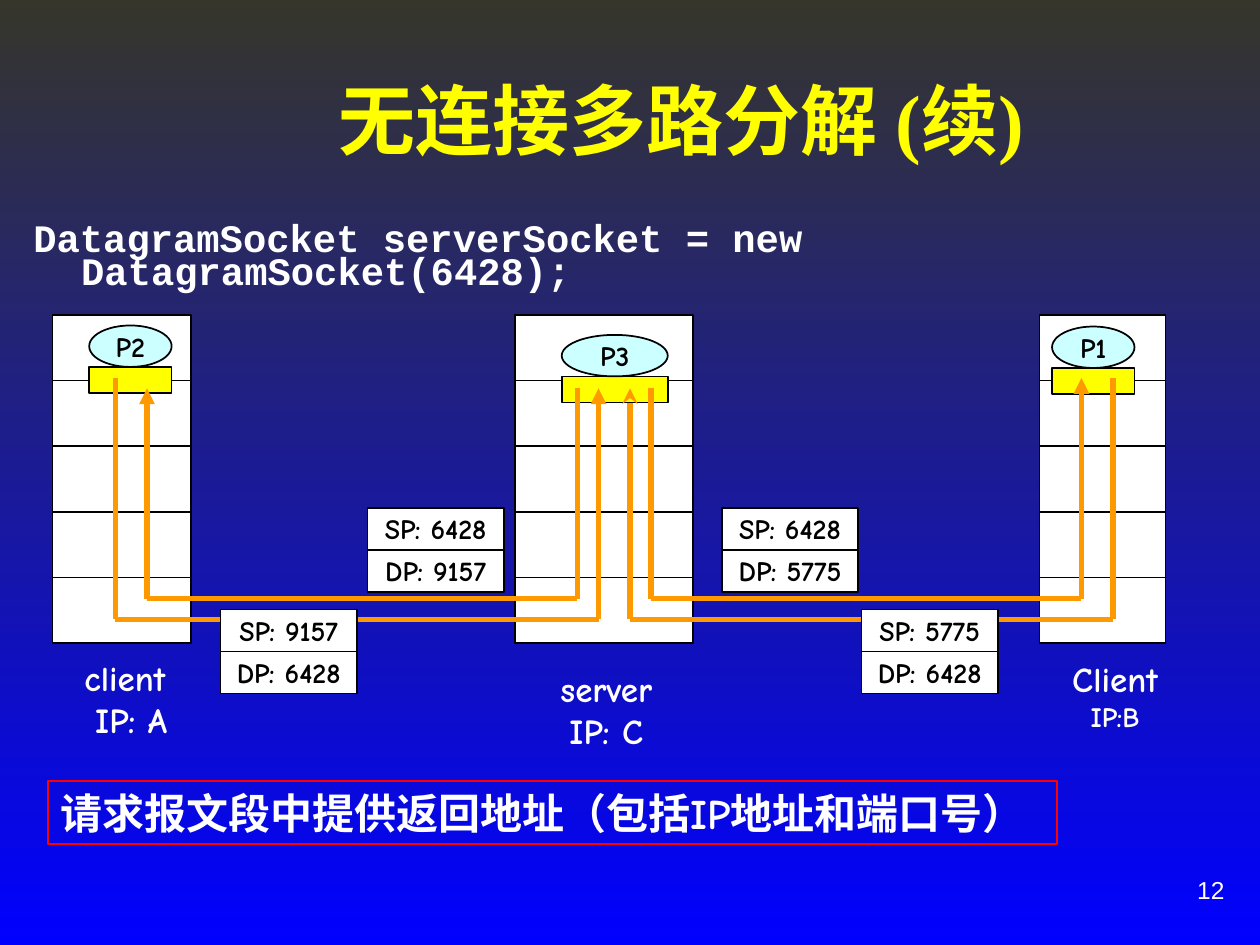
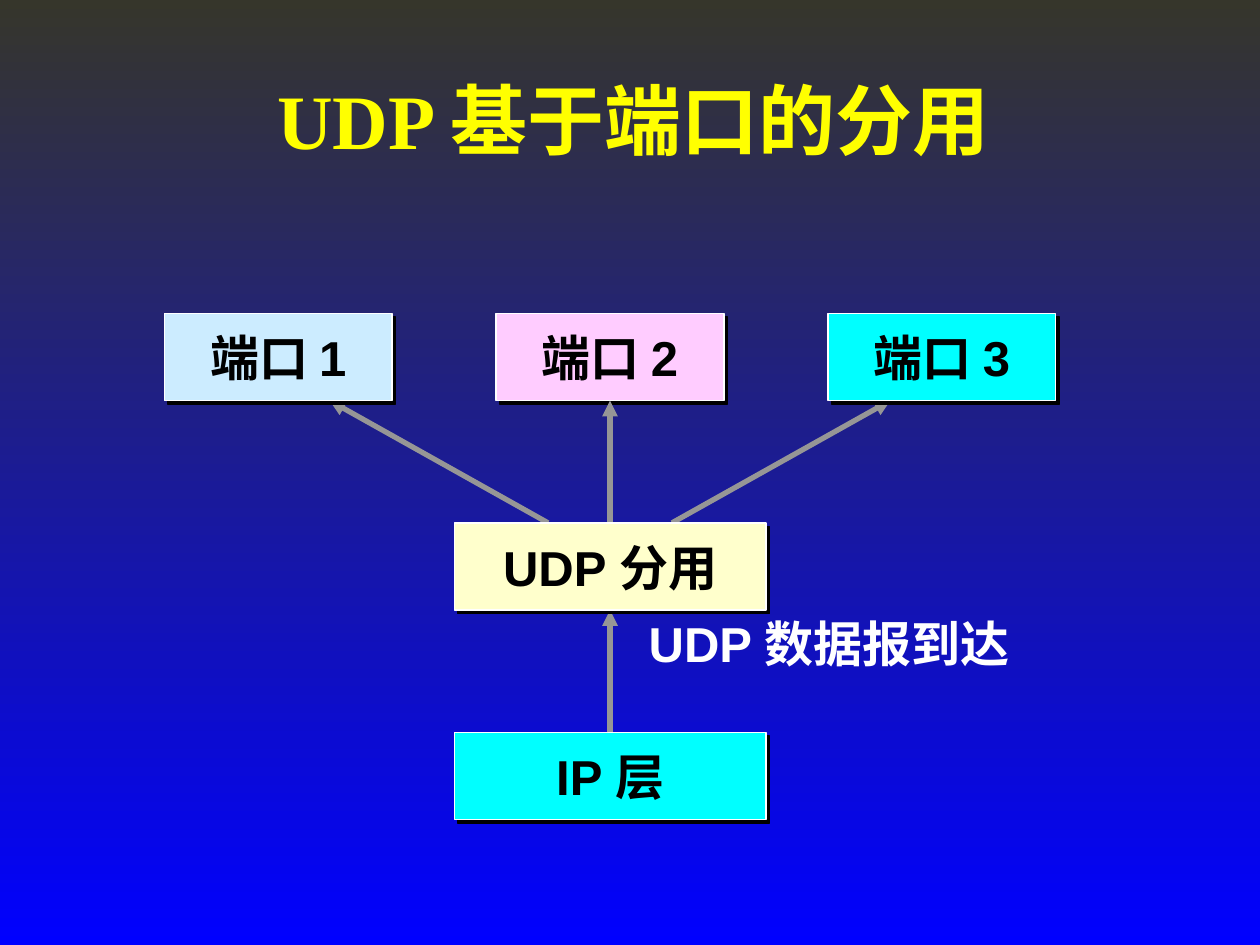
"""Two slides on how UDP sorts datagrams by port."""
from pptx import Presentation
from pptx.dml.color import RGBColor
from pptx.enum.shapes import MSO_CONNECTOR, MSO_SHAPE
from pptx.enum.text import MSO_ANCHOR, PP_ALIGN
from pptx.oxml.ns import qn
from pptx.util import Inches, Pt
from lxml import etree

RECT, OVAL = MSO_SHAPE.RECTANGLE, MSO_SHAPE.OVAL
LINE = MSO_CONNECTOR.STRAIGHT
LEFT, MID, RIGHT = PP_ALIGN.LEFT, PP_ALIGN.CENTER, PP_ALIGN.RIGHT
TOP, CORE = MSO_ANCHOR.TOP, MSO_ANCHOR.MIDDLE
COLS, ROWS = 120, 90
WHITE, BLACK, YELLOW = "FFFFFF", "000000", "FFFF00"
ORANGE, GRAY, RED = "FF9900", "969696", "FF0000"
ICE, CYAN, CREAM, PINK, SKY = "CCFFFF", "00FFFF", "FFFFCC", "FFCCFF", "CCECFF"
STYLES = {
    "title": {"name": "Times New Roman", "size": 44, "bold": True, "ink": YELLOW},
    "code": {"name": "Courier New", "size": 22.2, "bold": True, "ink": WHITE},
    "page": {"name": "Arial", "size": 14, "bold": False, "ink": WHITE},
    "tag": {"name": "Comic Neue", "size": 16, "bold": True, "ink": BLACK},
    "host": {"name": "Comic Neue", "size": 20, "bold": True, "ink": WHITE},
    "small": {"name": "Comic Neue", "size": 16, "bold": True, "ink": WHITE},
    "note": {"name": "Comic Neue", "size": 24, "bold": True, "ink": WHITE},
    "block": {"name": "Arial", "size": 28, "bold": True, "ink": BLACK},
    "side": {"name": "Arial", "size": 28, "bold": True, "ink": WHITE},
}


def tint(code):
    """Turn a hex string into a colour."""
    return RGBColor.from_string(code)


class Deck:
    """Holds the style and the current slide."""

    def __init__(self):
        """Open an empty deck of 10 by 7.5 inches."""
        self.show = Presentation()
        self.show.slide_width, self.show.slide_height = Inches(10), Inches(7.5)
        self.slide = None

    def span(self, *cells):
        """Turn pairs of columns and rows into lengths."""
        sides = (self.show.slide_width / COLS, self.show.slide_height / ROWS)
        return [round(cell * sides[i % 2]) for i, cell in enumerate(cells)]

    def start(self, title, width):
        """Add a slide with the shared background and title."""
        self.slide = self.show.slides.add_slide(self.show.slide_layouts[6])
        fill = self.slide.background.fill
        fill.gradient()
        fill.gradient_angle = 270
        for stop, code in zip(fill.gradient_stops, ("36362B", "0000FF")):
            stop.color.rgb = tint(code)
        self.text((14.2, 3.84, width, 15), [title], "title", anchor=CORE)

    def label(self, shape, lines, style, align=MID, anchor=CORE):
        """Fill a shape with styled lines and return the paragraphs."""
        frame = shape.text_frame
        frame.word_wrap = align != MID
        frame.vertical_anchor = anchor
        if align == LEFT:
            frame.margin_right = 0
        frame.text = "\n".join(lines)
        for para in frame.paragraphs:
            para.alignment = align
            self.dress(para, style)
        return frame.paragraphs

    def dress(self, para, style):
        """Set the font of each run in a paragraph."""
        looks = dict(STYLES[style])
        ink = looks.pop("ink")
        looks["size"] = Pt(looks["size"])
        for run in para.runs:
            for key, value in looks.items():
                setattr(run.font, key, value)
            run.font.color.rgb = tint(ink)

    def text(self, place, lines, style, align=MID, anchor=TOP):
        """Add a text box and return its paragraphs."""
        box = self.slide.shapes.add_textbox(*self.span(*place))
        return self.label(box, lines, style, align, anchor)

    def box(self, place, fill=None, edge=BLACK, width=1, kind=RECT):
        """Add a flat shape with an edge."""
        shape = self.slide.shapes.add_shape(kind, *self.span(*place))
        shape.shadow.inherit = False
        if fill:
            shape.fill.solid()
            shape.fill.fore_color.rgb = tint(fill)
        else:
            shape.fill.background()
        shape.line.color.rgb = tint(edge)
        shape.line.width = Pt(width)
        return shape

    def block(self, place, name, fill):
        """Add a labelled block with a hard shadow."""
        shape = self.box(place, fill, WHITE, 0.75)
        effects = shape._element.spPr.find(qn("a:effectLst"))
        shade = etree.SubElement(effects, qn("a:outerShdw"), dist=str(Pt(2.8)),
                                 dir="2700000", algn="ctr", rotWithShape="0")
        etree.SubElement(shade, qn("a:srgbClr"), val=BLACK)
        self.label(shape, [name], "block")

    def line(self, start, end, ink, head=None):
        """Add a thick line, with an arrowhead if asked."""
        link = self.slide.shapes.add_connector(LINE, *self.span(*start, *end))
        link.line.color.rgb = tint(ink)
        link.line.width = Pt(3)
        if head:
            etree.SubElement(link.line._get_or_add_ln(), qn("a:tailEnd"), type=head)
        etree.SubElement(link._element.spPr, qn("a:effectLst"))

    def route(self, points, head):
        """Join points by lines that end in an arrow."""
        last = len(points) - 2
        for i, pair in enumerate(zip(points, points[1:])):
            self.line(*pair, ORANGE, head if i == last else None)

    def stack(self, left, width):
        """Add the five layers of a host."""
        for i in range(5):
            self.box((left, 30 + 6.25 * i, width, 6.25), WHITE)

    def task(self, name, left, top, width):
        """Add a process on its socket."""
        self.box((left, top + 3.95, width, 2.5), YELLOW)
        oval = self.box((left, top, width, 3.95), ICE, kind=OVAL)
        self.label(oval, [name], "tag")

    def ports(self, left, top, source, dest):
        """Add the source and target port of a datagram."""
        for i, name in enumerate((f"SP: {source}", f"DP: {dest}")):
            cell = self.box((left, top + 4 * i, 13, 4), WHITE)
            self.label(cell, [name], "tag")


def hosts(deck):
    """Build the slide with two clients and a server."""
    deck.start("无连接多路分解 (续)", 101.4)
    code = deck.text((2, 21, 114, 8),
                     ["DatagramSocket serverSocket = new DatagramSocket(6428);"],
                     "code", LEFT)[0]
    code.line_spacing = 0.7
    props = code._p.get_or_add_pPr()
    for key, size in {"marL": 0.38, "indent": -0.38}.items():
        props.set(key, str(Inches(size)))

    for left, width in ((5, 13.2), (49.05, 16.95), (99, 12)):
        deck.stack(left, width)
    for task in (("P2", 8.5, 31, 7.85), ("P3", 53.5, 31.9, 10.1),
                 ("P1", 100.2, 31.1, 7.85)):
        deck.task(*task)

    for begin, end, low, rise, stop, head in (
            (11, 57, 59, 36, 37, "triangle"), (55, 14, 57, 37, 37, "triangle"),
            (106, 60, 59, 36, 37, "stealth"), (62, 103, 57, 37, 36, "triangle")):
        deck.route([(begin, rise), (begin, low), (end, low), (end, stop)], head)

    for pair in ((35, 48.35, 6428, 9157), (21, 58.05, 9157, 6428),
                 (68.75, 48.35, 6428, 5775), (82.05, 58.05, 5775, 6428)):
        deck.ports(*pair)

    first = deck.text((6.6, 61.95, 10.6, 9.25), ["client", "IP: A"], "host")
    first[1]._p.get_or_add_pPr().set("marL", str(Inches(0.1)))
    deck.text((52.1, 63, 11.3, 9.25), ["server", "IP: C"], "host")
    last = deck.text((100.9, 62, 10.6, 8.4), ["Client", "IP:B"], "host")
    deck.dress(last[1], "small")

    note = deck.box((4.55, 74.4, 96.15, 6), edge=RED)
    deck.label(note, ["请求报文段中提供返回地址（包括IP地址和端口号）"], "note", LEFT, TOP)
    deck.text((86, 81.7, 31.8, 6), ["12"], "page", RIGHT, CORE)


def demux(deck):
    """Build the slide with the port tree."""
    deck.start("UDP 基于端口的分用", 92.3)
    high, mid, low, tall = 29.85, 49.8, 69.75, 8.3
    axis, step, wide = 58.1, 31.6, 21.7
    spot = [axis - wide / 2 + step * i for i in (-1, 0, 1)]

    deck.block((43.25, low, 29.7, tall), "IP 层", CYAN)
    deck.block((spot[1], high, wide, tall), "端口 2", PINK)
    deck.line((axis, low), (axis, mid + tall), GRAY, "triangle")
    for i in (0, 1, -1):
        deck.line((axis + 5.9 * i, mid), (axis + 26.7 * i, high + tall),
                  GRAY, "triangle")
    deck.block((spot[2], high, wide, tall), "端口 3", CYAN)
    deck.block((spot[0], high, wide, tall), "端口 1", SKY)
    deck.block((43.25, mid, 29.7, tall), "UDP 分用", CREAM)
    deck.text((60.6, 57.85, 38, 6.85), ["UDP 数据报到达"], "side", LEFT)


def main():
    """Build both slides and save them."""
    deck = Deck()
    hosts(deck)
    demux(deck)
    deck.show.save("out.pptx")


if __name__ == "__main__":
    main()
